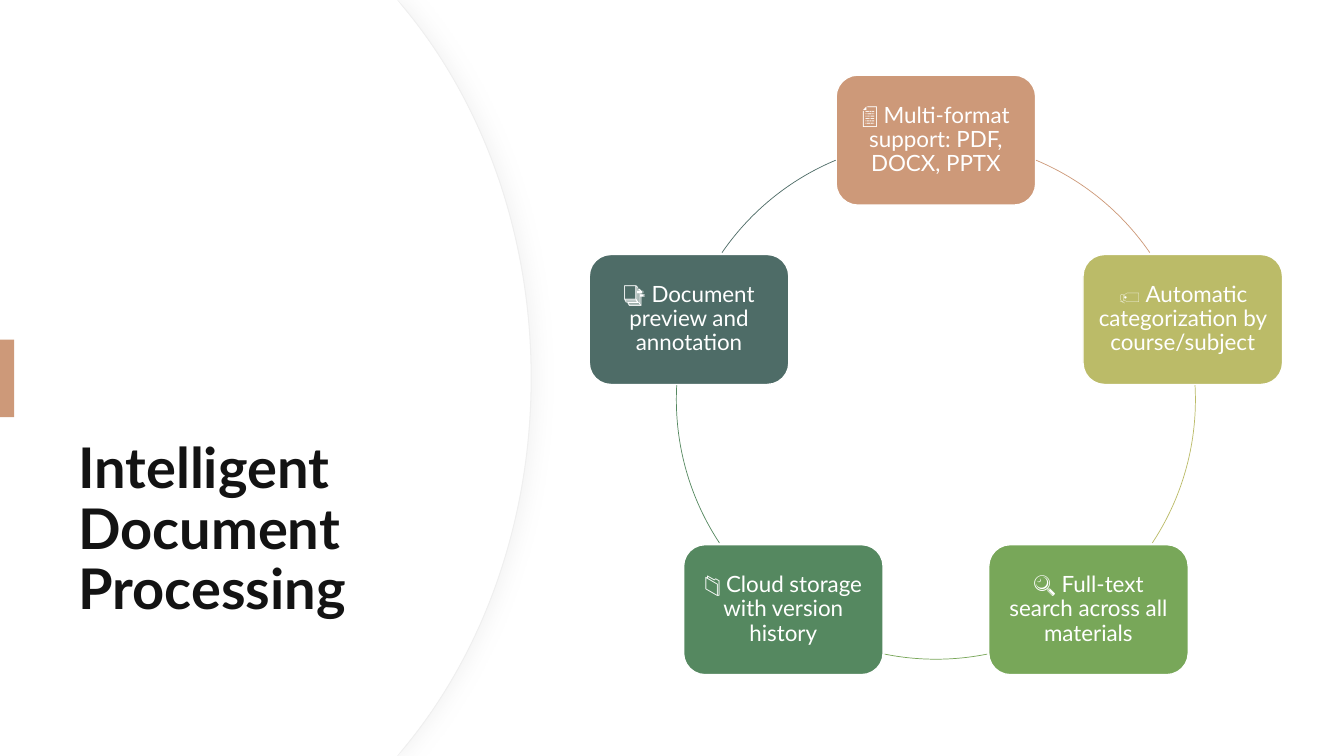
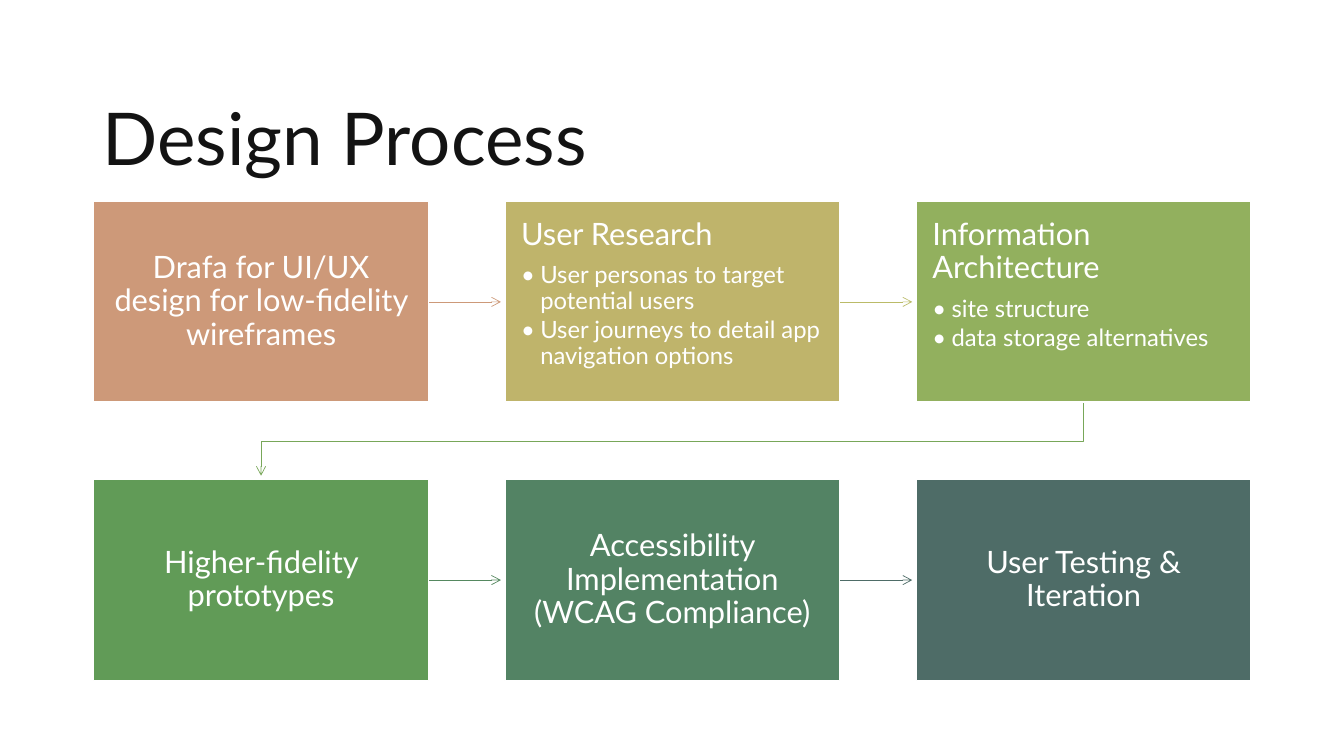
from dataclasses import dataclass
from math import cos, radians, sin

from lxml.etree import SubElement
from pptx import Presentation
from pptx.dml.color import RGBColor
from pptx.enum.shapes import MSO_CONNECTOR as Connector
from pptx.enum.shapes import MSO_SHAPE as Shape
from pptx.enum.text import MSO_ANCHOR as Anchor
from pptx.enum.text import PP_ALIGN as Align
from pptx.oxml.ns import qn
from pptx.util import Inches, Pt

FONT = "Lato"
COLORS = {
    "white": "FFFFFF", "ink": "131313", "edge": "EFEFEF", "shadow": "D9D9D9",
    "clay": "CD9979", "olive": "BBBB68", "leaf": "78A759", "fern": "558860",
    "slate": "4E6C67", "sand": "BFB46B", "lime": "92B05E", "grass": "619B57",
    "pine": "538364",
}
Point = tuple[float, float]


@dataclass(frozen=True)
class Feature:
    text: str
    color: str


@dataclass(frozen=True)
class Step:
    text: str
    color: str
    arrow: str = ""
    bullets: tuple[str, ...] = ()


FEATURES = [
    Feature("📄 Multi-format support: PDF, DOCX, PPTX", "clay"),
    Feature("🏷️ Automatic categorization by course/subject", "olive"),
    Feature("🔍 Full-text search across all materials", "leaf"),
    Feature("📁 Cloud storage with version history", "fern"),
    Feature("📑 Document preview and annotation", "slate"),
]
STEPS = [
    Step("Drafa for UI/UX design for low-fidelity wireframes", "clay", "clay"),
    Step("User Research", "sand", "olive",
         ("User personas to target potential users",
          "User journeys to detail app navigation options")),
    Step("Information Architecture", "lime", "leaf",
         ("site structure", "data storage alternatives")),
    Step("Higher-fidelity prototypes", "grass", "fern"),
    Step("Accessibility Implementation (WCAG Compliance)", "pine", "slate"),
    Step("User Testing & Iteration", "slate"),
]

# Ring of features: bounding square and card size in inches
RING_LEFT, RING_TOP, RING_SIZE = 6.71, 1.39, 5.15
RADIUS = RING_SIZE / 2
CARD_W, CARD_H = 1.98, 1.29
# Start and end of each arc in degrees, clockwise from three o'clock
ARCS = [(292.7, 325.5), (356.8, 33.5), (78.6, 101.4), (146.5, 183.2), (214.5, 247.3)]

# Grid of steps in inches
COLUMNS, GRID_X, GRID_Y = 3, 0.93, 2.0
STEP_W, STEP_H = 3.32, 1.99
PITCH_X, PITCH_Y = 4.08, 2.76
ARROW_GAP = 0.04


def color(name: str) -> RGBColor:
    return RGBColor.from_string(COLORS[name])


def paint(shape, fill: str = "", line: str = "", width: float = 1) -> None:
    """Set fill and outline; an empty name means none."""
    shape.shadow.inherit = False
    if fill:
        shape.fill.solid()
        shape.fill.fore_color.rgb = color(fill)
    else:
        shape.fill.background()
    if line:
        shape.line.color.rgb = color(line)
        shape.line.width = Pt(width)
    else:
        shape.line.fill.background()


def style(para, size: float, ink: str = "white", bold: bool = False,
          align=Align.LEFT, after: float = 0) -> None:
    para.alignment = align
    para.line_spacing = 0.9
    para.space_after = Pt(after)
    for span in para.runs:
        span.font.name = FONT
        span.font.size = Pt(size)
        span.font.bold = bold
        span.font.color.rgb = color(ink)


def add_bullet(para) -> None:
    properties = para._p.get_or_add_pPr()
    properties.set("marL", str(Inches(0.19)))
    properties.set("indent", str(Inches(-0.19)))
    SubElement(properties, qn("a:buFont")).set("typeface", FONT)
    SubElement(properties, qn("a:buChar")).set("char", "•")


def add_title(page, text: str, left: float, top: float, width: float,
              height: float, size: float, bold: bool = False) -> None:
    box = page.shapes.add_textbox(Inches(left), Inches(top), Inches(width), Inches(height))
    frame = box.text_frame
    frame.word_wrap = True
    frame.vertical_anchor = Anchor.BOTTOM
    frame.text = text
    style(frame.paragraphs[0], size, "ink", bold)


def add_block(page, kind, left: float, top: float, width: float, height: float,
              fill: str, line: str = ""):
    block = page.shapes.add_shape(kind, Inches(left), Inches(top), Inches(width), Inches(height))
    paint(block, fill, line)
    return block


def set_text(block, text: str, size: float, side: float, end: float):
    frame = block.text_frame
    frame.word_wrap = True
    frame.vertical_anchor = Anchor.MIDDLE
    frame.margin_left = frame.margin_right = Inches(side)
    frame.margin_top = frame.margin_bottom = Inches(end)
    frame.text = text
    style(frame.paragraphs[0], size, align=Align.CENTER)
    return frame


def add_outline(page, points: list[Point], close: bool):
    corners = [(Inches(x), Inches(y)) for x, y in points]
    builder = page.shapes.build_freeform(*corners[0])
    builder.add_line_segments(corners[1:], close=close)
    return builder.convert_to_shape()


def add_arrowhead(shape) -> None:
    line = shape._element.spPr.find(qn("a:ln"))
    SubElement(line, qn("a:tailEnd")).set("type", "arrow")


# Curved side panel
def bend(segment, first: Point, second: Point) -> None:
    """Turn a straight segment into a cubic curve with two control points."""
    segment.tag = qn("a:cubicBezTo")
    for index, (x, y) in enumerate((first, second)):
        control = segment.makeelement(qn("a:pt"), x=str(Inches(x)), y=str(Inches(y)))
        segment.insert(index, control)


def add_bulge(page, right: float):
    shoulder = right - 1.26
    panel = add_outline(page, [(0, 0), (3.94, 0), (shoulder, 0.08), (right, 3.75),
                               (shoulder, 7.42), (3.94, 7.5), (0, 7.5)], close=True)
    segments = list(panel._element.spPr.iter(qn("a:lnTo")))
    bend(segments[2], (right - 0.48, 1.02), (right, 2.32))
    bend(segments[3], (right, 5.18), (right - 0.48, 6.48))
    return panel


def add_soft_shadow(shape) -> None:
    effects = shape._element.spPr.find(qn("a:effectLst"))
    shadow = SubElement(effects, qn("a:outerShdw"), blurRad=str(Pt(14)),
                        dist=str(Pt(3)), dir="0", algn="l", rotWithShape="0")
    tint = SubElement(shadow, qn("a:srgbClr"), val=COLORS["shadow"])
    SubElement(tint, qn("a:alpha"), val="30000")


def add_panel(page) -> None:
    rim = add_bulge(page, 5.27)
    paint(rim, "white", "edge", 0.75)
    add_soft_shadow(rim)
    paint(add_bulge(page, 5.26), "white")


# Slide 1: ring of features
def add_arc(page, start: float, end: float, line: str) -> None:
    arc = page.shapes.add_shape(Shape.ARC, Inches(RING_LEFT), Inches(RING_TOP),
                                Inches(RING_SIZE), Inches(RING_SIZE))
    # Adjustments count 60000 per degree, scaled by 100000
    arc.adjustments[0] = start * 0.6
    arc.adjustments[1] = end * 0.6
    paint(arc, line=line, width=0.5)


def build_features(page) -> None:
    add_panel(page)
    add_title(page, "Intelligent Document Processing", 0.68, 1.27, 3.94, 4.95, 40, bold=True)
    add_block(page, Shape.RECTANGLE, 0, 3.37, 0.14, 0.77, "clay")
    for index, (feature, (start, end)) in enumerate(zip(FEATURES, ARCS)):
        angle = radians(index * 360 / len(FEATURES))
        left = RING_LEFT + RADIUS * (1 + sin(angle)) - CARD_W / 2
        top = RING_TOP + RADIUS * (1 - cos(angle)) - CARD_H / 2
        card = add_block(page, Shape.ROUNDED_RECTANGLE, left, top, CARD_W, CARD_H,
                         feature.color, "white")
        set_text(card, feature.text, 16, 0.07, 0.07)
        add_arc(page, start, end, feature.color)


# Slide 2: grid of steps
def add_straight_arrow(page, left: float, right: float, y: float, line: str) -> None:
    arrow = page.shapes.add_connector(Connector.STRAIGHT, Inches(left), Inches(y),
                                      Inches(right), Inches(y))
    arrow.line.color.rgb = color(line)
    arrow.line.width = Pt(0.5)
    add_arrowhead(arrow)
    SubElement(arrow._element.spPr, qn("a:effectLst"))


def add_return_arrow(page, start_x: float, start_y: float, line: str) -> None:
    """Lead from the end of one row to the start of the next."""
    end_x, next_top = GRID_X + STEP_W / 2, start_y + PITCH_Y - STEP_H
    middle = (start_y + next_top) / 2
    arrow = add_outline(page, [(start_x, start_y), (start_x, middle), (end_x, middle),
                               (end_x, next_top - ARROW_GAP)], close=False)
    paint(arrow, line=line, width=0.5)
    add_arrowhead(arrow)


def add_step(page, step: Step, left: float, top: float) -> None:
    block = add_block(page, Shape.RECTANGLE, left, top, STEP_W, STEP_H, step.color, "white")
    frame = set_text(block, step.text, 22, 0.16, 0.17)
    if step.bullets:
        frame.vertical_anchor = Anchor.TOP
        style(frame.paragraphs[0], 22, after=8)
    for text in step.bullets:
        para = frame.add_paragraph()
        para.text = text
        style(para, 17, after=2.5)
        add_bullet(para)


def build_process(page) -> None:
    add_title(page, "Design Process", 0.92, 0.61, 11.5, 1.24, 52)
    for index, step in enumerate(STEPS):
        row, column = divmod(index, COLUMNS)
        left, top = GRID_X + column * PITCH_X, GRID_Y + row * PITCH_Y
        if step.arrow and column < COLUMNS - 1:
            add_straight_arrow(page, left + STEP_W, left + PITCH_X - ARROW_GAP,
                               top + STEP_H / 2, step.arrow)
        elif step.arrow:
            add_return_arrow(page, left + STEP_W / 2, top + STEP_H, step.arrow)
        add_step(page, step, left, top)


def main() -> None:
    deck = Presentation()
    deck.slide_width, deck.slide_height = Inches(40 / 3), Inches(7.5)
    blank = deck.slide_layouts[6]
    for build in (build_features, build_process):
        build(deck.slides.add_slide(blank))
    deck.save("out.pptx")


if __name__ == "__main__":
    main()
